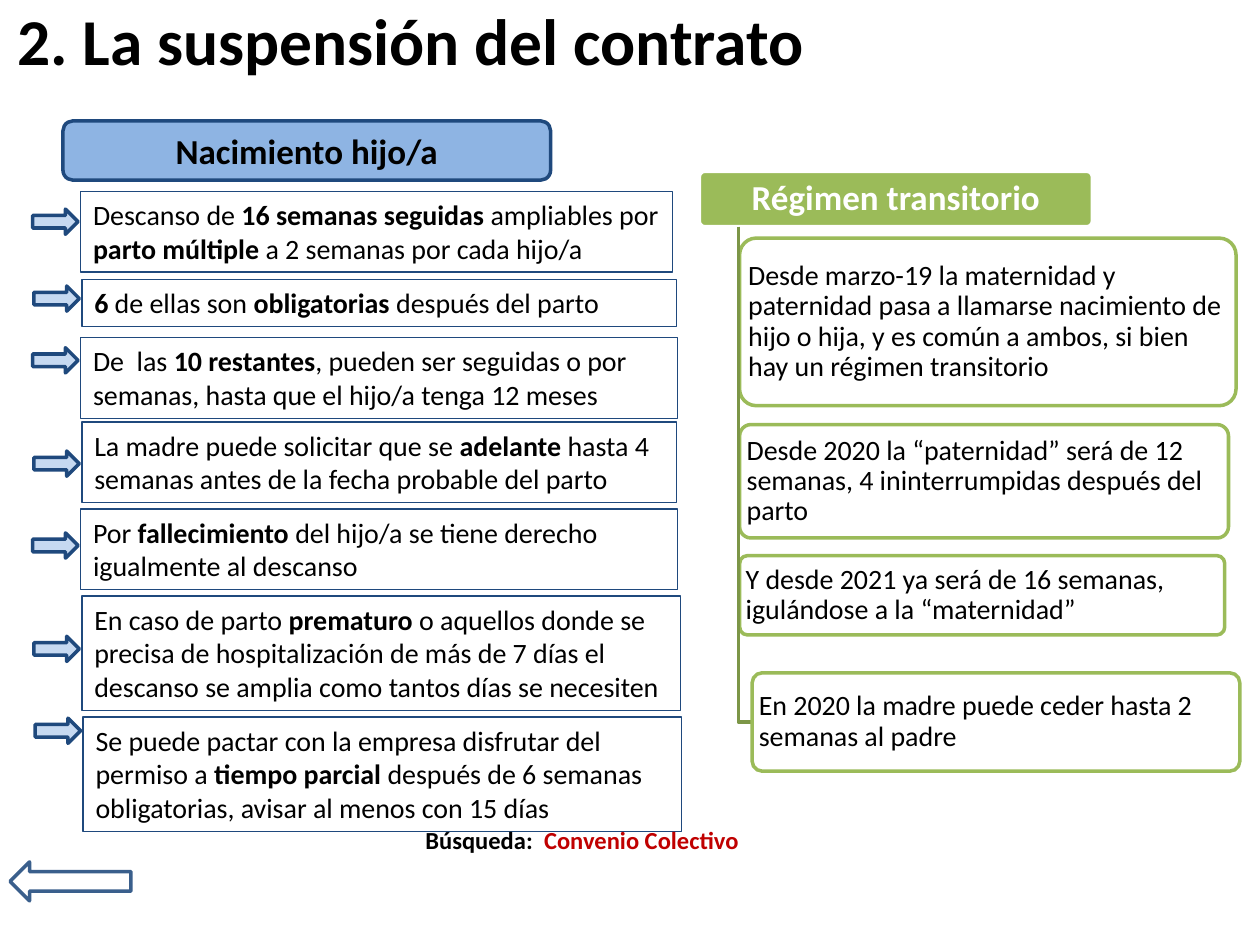
from dataclasses import dataclass

from lxml import etree
from pptx import Presentation
from pptx.dml.color import RGBColor
from pptx.enum.shapes import MSO_SHAPE
from pptx.enum.text import MSO_ANCHOR, MSO_AUTO_SIZE, PP_ALIGN
from pptx.oxml.ns import qn
from pptx.util import Inches, Pt

RECT, ROUND_RECT = MSO_SHAPE.RECTANGLE, MSO_SHAPE.ROUNDED_RECTANGLE
RIGHT_ARROW, LEFT_ARROW = MSO_SHAPE.RIGHT_ARROW, MSO_SHAPE.LEFT_ARROW
PROCESS = MSO_SHAPE.FLOWCHART_ALTERNATE_PROCESS
TOP, MIDDLE = MSO_ANCHOR.TOP, MSO_ANCHOR.MIDDLE
LEFT, CENTER = PP_ALIGN.LEFT, PP_ALIGN.CENTER
GROW = MSO_AUTO_SIZE.SHAPE_TO_FIT_TEXT


@dataclass(frozen=True)
class Theme:
    font: str = "Calibri"
    black: str = "000000"
    white: str = "FFFFFF"
    navy: str = "1F497D"
    sky: str = "8EB4E3"
    pale: str = "C6D9F1"
    steel: str = "3A5F8C"
    green: str = "9BBB59"
    dark_green: str = "7C9647"
    red: str = "C00000"
    title: float = 37.4
    heading: float = 20
    body: float = 16
    search: float = 14
    thick: float = 2
    thin: float = 0.75


T = Theme()

# left, top, width, number of lines, top of its arrow, text (** marks bold)
NOTES = [
    (0.64, 1.52, 4.70, 2, 1.66, "Descanso de **16 semanas seguidas **ampliables por "
     "**parto múltiple **a 2 semanas por cada hijo/a"),
    (0.65, 2.22, 4.72, 1, 2.27, "**6** de ellas son **obligatorias** después del parto"),
    (0.64, 2.68, 4.74, 2, 2.76, "De  las **10 restantes**, pueden ser seguidas o por "
     "semanas, hasta que el hijo/a tenga 12 meses"),
    (0.65, 3.35, 4.72, 2, 3.58, "La madre puede solicitar que se **adelante** hasta 4 "
     "semanas antes de la fecha probable del parto"),
    (0.64, 4.04, 4.74, 2, 4.23, "Por **fallecimiento** del hijo/a se tiene derecho "
     "igualmente al descanso"),
    (0.65, 4.73, 4.75, 3, 5.05, "En caso de parto **prematuro** o aquellos donde se "
     "precisa de hospitalización de más de 7 días el descanso se amplia como tantos "
     "días se necesiten"),
    (0.66, 5.69, 4.75, 3, 5.70, "Se puede pactar con la empresa disfrutar del permiso a "
     "**tiempo parcial **después de 6 semanas obligatorias, avisar al menos con 15 días"),
]

# left, top, width, height, text
STAGES = [
    (5.87, 1.89, 3.94, 1.33, "Desde marzo-19 la maternidad y paternidad pasa a llamarse "
     "nacimiento de hijo o hija, y es común a ambos, si bien hay un régimen transitorio"),
    (5.87, 3.37, 3.88, 0.90, "Desde 2020 la “paternidad” será de 12 semanas, "
     "4 ininterrumpidas después del parto"),
    (5.87, 4.41, 3.85, 0.63, "Y desde 2021 ya será de 16 semanas, igulándose a la "
     "“maternidad”"),
    (5.97, 5.34, 3.87, 0.78, "En 2020 la madre puede ceder hasta 2 semanas al padre"),
]
TRUNK_X, TRUNK_TOP = 5.86, 1.8


def apply(target, values):
    for name, value in values.items():
        setattr(target, name, value)


def paint(sp, fill, line, width):
    sp.shadow.inherit = False
    if fill:
        sp.fill.solid()
        sp.fill.fore_color.rgb = RGBColor.from_string(fill)
    else:
        sp.fill.background()
    sp.line.color.rgb = RGBColor.from_string(line)
    sp.line.width = Pt(width)


def add_box(s, kind, box, fill, line, width=T.thick):
    sp = s.shapes.add_shape(kind, *map(Inches, box))
    paint(sp, fill, line, width)
    return sp


def write(sp, runs, size, align=LEFT, frame=None, para=None):
    """Fill the shape with one paragraph; runs are (text, bold, colour)."""
    tf = sp.text_frame
    apply(tf, {"word_wrap": True, "vertical_anchor": MIDDLE, **(frame or {})})
    p = tf.paragraphs[0]
    apply(p, {"alignment": align, **(para or {})})
    for text, bold, color in runs:
        r = p.add_run()
        r.text = text
        apply(r.font, {"name": T.font, "size": Pt(size), "bold": bold})
        r.font.color.rgb = RGBColor.from_string(color)


def marked_runs(text):
    return [(part, i % 2 == 1, T.black)
            for i, part in enumerate(text.split("**")) if part]


def add_text(s, box, runs, size, align=LEFT, frame=None):
    write(s.shapes.add_textbox(*map(Inches, box)), runs, size, align, frame)


def add_note(s, left, top, width, lines, arrow_top, text):
    sp = add_box(s, RECT, (left, top, width, 0.1 + 0.27 * lines), None, T.navy, T.thin)
    write(sp, marked_runs(text), T.body,
          frame={"vertical_anchor": TOP, "auto_size": GROW})
    add_box(s, RIGHT_ARROW, (left - 0.38, arrow_top, 0.36, 0.2), T.pale, T.navy)


def add_branch(s, left, y):
    """Angled line from the heading down the trunk to a stage."""
    fb = s.shapes.build_freeform(Inches(TRUNK_X), Inches(TRUNK_TOP))
    fb.add_line_segments([(Inches(TRUNK_X), Inches(y)), (Inches(left), Inches(y))],
                         close=False)
    paint(fb.convert_to_shape(), None, T.dark_green, T.thick)


def add_card(s, box, fill, line, runs, size, align=LEFT, inset=(0.03, 0.02)):
    sp = add_box(s, ROUND_RECT, box, fill, line)
    sp.adjustments[0] = 0.1
    x, y = map(Inches, inset)
    write(sp, runs, size, align,
          {"margin_left": x, "margin_right": x, "margin_top": y, "margin_bottom": y},
          {"line_spacing": 0.9})
    return sp


def add_stage(s, left, top, width, height, text):
    add_branch(s, left, top + height / 2)
    sp = add_card(s, (left, top, width, height), T.white, T.green,
                  marked_runs(text), T.body)
    color = sp.fill._xPr.find(qn("a:solidFill"))[0]
    etree.SubElement(color, qn("a:alpha"), val="90000")


def main():
    prs = Presentation()
    prs.slide_width, prs.slide_height = Inches(10), Inches(7.5)
    s = prs.slides.add_slide(prs.slide_layouts[6])

    add_text(s, (0.04, 0, 9, 0.63),
             [("2. La suspensión del contrato", True, T.black)], T.title)
    add_box(s, LEFT_ARROW, (0.08, 6.84, 0.96, 0.31), None, T.steel)

    heading = add_box(s, PROCESS, (0.5, 0.96, 3.87, 0.47), T.sky, T.navy)
    write(heading, [("Nacimiento hijo/a", True, T.black)], T.heading, CENTER)

    add_card(s, (5.55, 1.36, 3.12, 0.44), T.green, T.white,
             [("Régimen transitorio", True, T.white)], T.heading, CENTER, (0.04, 0.03))
    for stage in STAGES:
        add_stage(s, *stage)
    for note in NOTES:
        add_note(s, *note)

    add_text(s, (3.27, 6.5, 2.7, 0.34),
             [("Búsqueda:  ", True, T.black), ("Convenio Colectivo", True, T.red)],
             T.search, CENTER,
             {"word_wrap": False, "vertical_anchor": TOP, "auto_size": GROW})
    prs.save("out.pptx")


if __name__ == "__main__":
    main()
